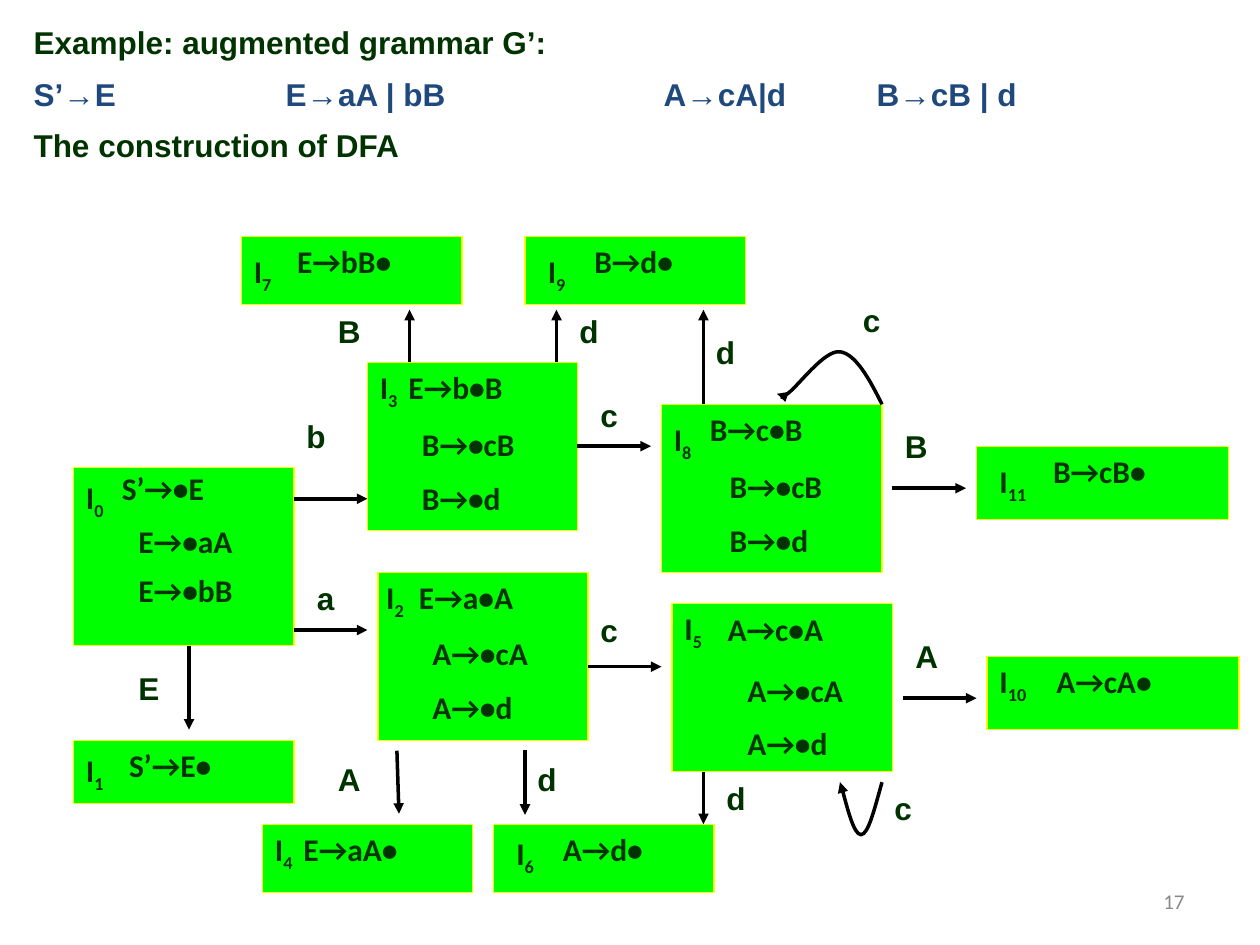
from dataclasses import dataclass

from lxml.etree import SubElement
from pptx import Presentation
from pptx.dml.color import RGBColor
from pptx.enum.shapes import MSO_CONNECTOR, MSO_SHAPE
from pptx.enum.text import MSO_ANCHOR, MSO_AUTO_SIZE, PP_ALIGN
from pptx.oxml.ns import qn
from pptx.util import Inches, Pt


@dataclass(frozen=True)
class Theme:
    ink: RGBColor = RGBColor(0x00, 0x33, 0x00)
    rule: RGBColor = RGBColor(0x1F, 0x49, 0x7D)
    state: RGBColor = RGBColor(0x00, 0xFF, 0x00)
    border: RGBColor = RGBColor(0xFF, 0xFF, 0x00)
    arrow: RGBColor = RGBColor(0x00, 0x00, 0x00)
    muted: RGBColor = RGBColor(0x89, 0x89, 0x89)
    heading_font: str = "Arial"
    item_font: str = "Calibri"
    body: int = 18
    small: int = 12
    border_width: float = 0.75
    arrow_width: float = 2


THEME = Theme()
CELLS_PER_INCH = 12
COLUMNS, ROWS = 120, 90

HEADING = [
    ("Example: augmented grammar G’:", THEME.ink),
    ("S’→E\tE→aA | bB\tA→cA|d\tB→cB | d", THEME.rule),
    ("The construction of DFA", THEME.ink),
]
RULE_TABS = (24, 60, 80.3)
PAGE_NUMBER = "17"

# number: (col, row, width, height), label offset, item indent, kernel item
STATES = {
    0: ((7, 44.5, 21, 17), (0, 0.5), 4.6, "S’→•E"),
    1: ((7, 70.5, 21, 6), (0, 0.5), 5.3, "S’→E•"),
    2: ((36, 54.5, 20, 16), (-0.4, 0), 3.9, "E→a•A"),
    3: ((35, 34.5, 20, 16), (0, 0), 3.9, "E→b•B"),
    4: ((25, 78.5, 20, 6.5), (0, 0), 3.9, "E→aA•"),
    5: ((64, 57.5, 21, 16), (0, 0), 5.3, "A→c•A"),
    6: ((47, 78.5, 21, 6.5), (1, 0.4), 6.6, "A→d•"),
    7: ((23, 22.5, 21, 6.5), (0, 1), 5.3, "E→bB•"),
    8: ((63, 38.5, 21, 16), (0, 1), 4.6, "B→c•B"),
    9: ((50, 22.5, 21, 6.5), (1, 1), 6.6, "B→d•"),
    10: ((94, 62.5, 24, 7), (0, 0), 6.6, "A→cA•"),
    11: ((93, 42.5, 24, 7), (1, 1), 7.3, "B→cB•"),
}
CLOSURES = {
    0: ((5, 5), 0.9, ["E→•aA", "E→•bB"]),
    2: ((4, 5.3), 1, ["A→•cA", "A→•d"]),
    3: ((4, 5.4), 1, ["B→•cB", "B→•d"]),
    5: ((6, 5.8), 1, ["A→•cA", "A→•d"]),
    8: ((5.3, 5.4), 1, ["B→•cB", "B→•d"]),
}
TRANSITIONS = [
    ("E", (18, 61.5), (18, 69.5), (12, 63.5)),
    ("a", (28, 60), (35, 60), (29, 55)),
    ("b", (28, 47.5), (35, 47.5), (28, 39.5)),
    ("c", (56, 63.5), (63, 63.5), (56, 58)),
    ("c", (55, 42.5), (62, 42.5), (56, 37.5)),
    ("A", (37.8, 71.5), (38, 77.5), (31, 72.2)),
    ("d", (50, 71.4), (50, 77.6), (50, 72.2)),
    ("A", (86, 66.5), (93, 66.5), (86, 60.5)),
    ("B", (85, 46.5), (92, 46.5), (85, 40.5)),
    ("d", (67, 73.5), (67, 78.5), (68, 74)),
    ("d", (53, 34.5), (53, 29.5), (54, 29.5)),
    ("B", (39, 34.5), (39, 29.5), (31, 29.5)),
    ("d", (67, 38.5), (67, 29.5), (67, 31.5)),
]
LOOPS = [
    ("c", (84, 75), [(84, 74.5), (83.3, 77), (82.7, 79.5), (82, 79.5),
                     (81.3, 79.5), (80.3, 75.4), (80, 74.5)]),
    ("c", (81, 28.5), [(84, 38.5), (82.8, 36.1), (81.5, 33.7), (80, 33.5),
                       (78.5, 33.3), (76, 36.8), (75, 37.5),
                       (74, 38.2), (74, 37.8), (74, 37.5)]),
]


def cells(*lengths):
    return [Inches(length / CELLS_PER_INCH) for length in lengths]


def style(paragraph, font, color=THEME.ink, size=THEME.body, bold=True):
    for run in paragraph.runs:
        run.font.name, run.font.size, run.font.bold = font, Pt(size), bold
        run.font.color.rgb = color


def write(frame, lines, font, spacing=0.9, gap=9):
    frame.word_wrap = True
    frame.vertical_anchor = MSO_ANCHOR.TOP
    frame.text = "\n".join(lines)
    for index, paragraph in enumerate(frame.paragraphs):
        paragraph.alignment = PP_ALIGN.LEFT
        paragraph.line_spacing = spacing
        paragraph.space_before = Pt(gap if index else 0)
        style(paragraph, font)


def add_text(shapes, box, lines, font, spacing=0.9):
    frame = shapes.add_textbox(*cells(*box)).text_frame
    write(frame, lines, font, spacing)
    return frame


def add_heading(slide):
    title = slide.shapes.title
    title.left, title.top, title.width, title.height = cells(2, 2, 116, 14.6)
    frame = title.text_frame
    frame.auto_size = MSO_AUTO_SIZE.NONE
    write(frame, [line for line, _ in HEADING], THEME.heading_font, gap=10)
    for paragraph, (_, color) in zip(frame.paragraphs, HEADING):
        style(paragraph, THEME.heading_font, color)
    tabs = SubElement(frame.paragraphs[1]._p.get_or_add_pPr(), qn("a:tabLst"))
    for position in cells(*RULE_TABS):
        SubElement(tabs, qn("a:tab"), pos=str(position), algn="l")


def add_state(shapes, number):
    box, (label_x, label_y), indent, kernel = STATES[number]
    col, row = box[:2]
    state = shapes.add_shape(MSO_SHAPE.RECTANGLE, *cells(*box))
    state.shadow.inherit = False
    state.fill.solid()
    state.fill.fore_color.rgb = THEME.state
    state.line.color.rgb = THEME.border
    state.line.width = Pt(THEME.border_width)
    write(state.text_frame, [kernel], THEME.item_font, 1 if number else 0.9)
    state.text_frame.margin_left, state.text_frame.margin_right = cells(indent, 0)

    label_box = (col + label_x, row + label_y, 5.3 if number < 10 else 6.6, 5.5)
    label = add_text(shapes, label_box, ["I"], THEME.item_font).paragraphs[0]
    subscript = label.add_run()
    subscript.text = str(number)
    style(label, THEME.item_font)
    subscript.font._element.set("baseline", "-25000")

    if number in CLOSURES:
        (dx, dy), spacing, items = CLOSURES[number]
        add_text(shapes, (col + dx, row + dy, 16, 10.3), items, THEME.item_font, spacing)
    return state


def style_arrow(arrow):
    arrow.line.color.rgb = THEME.arrow
    arrow.line.width = Pt(THEME.arrow_width)
    SubElement(arrow.line._get_or_add_ln(), qn("a:tailEnd"), type="triangle")


def side_middles(states):
    for number, ((col, row, width, height), *_) in STATES.items():
        middles = [(col + width / 2, row), (col, row + height / 2),
                   (col + width / 2, row + height), (col + width, row + height / 2)]
        for side, point in enumerate(middles):
            yield point, (states[number], side)


def add_transition(shapes, start, end, joints):
    arrow = shapes.add_connector(MSO_CONNECTOR.STRAIGHT, *cells(*start, *end))
    if start in joints:
        arrow.begin_connect(*joints[start])
    if end in joints:
        arrow.end_connect(*joints[end])
    style_arrow(arrow)
    SubElement(arrow._element.spPr, qn("a:effectLst"))


def add_loop(shapes, points):
    start, *controls = [cells(*point) for point in points]
    builder = shapes.build_freeform(*start)
    builder.add_line_segments(controls, close=False)
    loop = builder.convert_to_shape()
    outline = loop._element.xpath(".//a:path")[0]
    segments = outline.findall(qn("a:lnTo"))
    for first in range(0, len(segments), 3):
        curve = SubElement(outline, qn("a:cubicBezTo"))
        for segment in segments[first:first + 3]:
            curve.append(segment[0])
            outline.remove(segment)
    loop.fill.background()
    style_arrow(loop)
    loop.shadow.inherit = False


def main():
    deck = Presentation()
    deck.slide_width, deck.slide_height = cells(COLUMNS, ROWS)
    slide = deck.slides.add_slide(deck.slide_layouts[5])
    shapes = slide.shapes
    add_heading(slide)
    states = {number: add_state(shapes, number) for number in STATES}
    joints = dict(side_middles(states))
    for symbol, start, end, label in TRANSITIONS:
        add_transition(shapes, start, end, joints)
        add_text(shapes, (*label, 6, 5.5), [symbol], THEME.heading_font)
    for symbol, label, points in LOOPS:
        add_loop(shapes, points)
        add_text(shapes, (*label, 6, 5.5), [symbol], THEME.heading_font)
    page = add_text(shapes, (86, 83.4, 28, 4.8), [PAGE_NUMBER], THEME.item_font, 1)
    page.vertical_anchor = MSO_ANCHOR.MIDDLE
    page.paragraphs[0].alignment = PP_ALIGN.RIGHT
    style(page.paragraphs[0], THEME.item_font, THEME.muted, THEME.small, False)
    deck.save("out.pptx")


if __name__ == "__main__":
    main()
